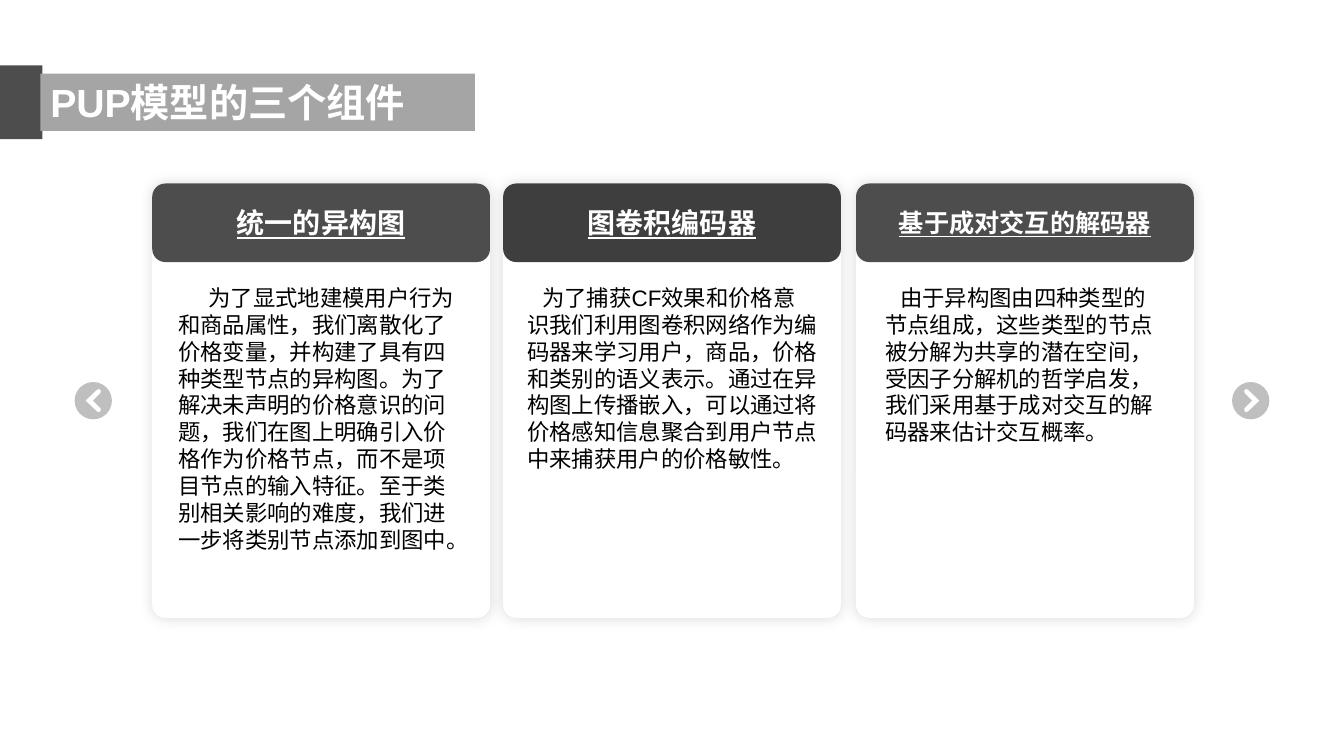
import pptx
import pptx.dml.color
import pptx.enum.shapes
import pptx.enum.text
import pptx.oxml
import pptx.oxml.ns
import pptx.util

Inches = pptx.util.Inches
SHAPES = pptx.enum.shapes.MSO_SHAPE
ALIGN = pptx.enum.text.PP_ALIGN
ANCHOR = pptx.enum.text.MSO_ANCHOR

COLORS = {
    "white": "FFFFFF",
    "black": "000000",
    "dark": "4D4D4D",
    "darker": "3E3E3E",
    "title": "A5A5A5",
    "button": "BFBFBF",
}

CARD_WIDTH, CARD_HEIGHT, HEADER_HEIGHT = 3.35, 4.31, 0.78
CARD_TOP = 1.82
BUTTON_SIZE = 0.37

# Left-pointing chevron in thousandths of an inch; the lower half mirrors the upper
CHEVRON_WIDTH, CHEVRON_HEIGHT = 150, 230
CHEVRON_UPPER = [(0, 115), (110, 10), (130, 0), (145, 10), (150, 25), (145, 40), (70, 115)]

CARDS = [
    {
        "left": 1.51, "heading": "统一的异构图", "size": 20, "fill": "dark",
        "inset": 0.16, "text_width": 2.94, "indent": 0.3,
        "body": "为了显式地建模用户行为和商品属性，我们离散化了价格变量，并构建了具有四种类型节点的异构图。"
                "为了解决未声明的价格意识的问题，我们在图上明确引入价格作为价格节点，而不是项目节点的输入特征。"
                "至于类别相关影响的难度，我们进一步将类别节点添加到图中。",
    },
    {
        "left": 4.99, "heading": "图卷积编码器", "size": 20, "fill": "darker",
        "inset": 0.14, "text_width": 3.08, "indent": 0.15,
        "body": "为了捕获CF效果和价格意识我们利用图卷积网络作为编码器来学习用户，商品，价格和类别的语义表示。"
                "通过在异构图上传播嵌入，可以通过将价格感知信息聚合到用户节点中来捕获用户的价格敏性。",
    },
    {
        "left": 8.49, "heading": "基于成对交互的解码器", "size": 18, "fill": "dark",
        "inset": 0.19, "text_width": 2.96, "indent": 0.15,
        "body": "由于异构图由四种类型的节点组成，这些类型的节点被分解为共享的潜在空间，受因子分解机的哲学启发，"
                "我们采用基于成对交互的解码器来估计交互概率。",
    },
]


def paint(shape, color):
    shape.shadow.inherit = False
    shape.fill.solid()
    shape.fill.fore_color.rgb = pptx.dml.color.RGBColor.from_string(COLORS[color])
    shape.line.fill.background()


def add_block(slide, kind, left, top, width, height, color):
    shape = slide.shapes.add_shape(
        kind, Inches(left), Inches(top), Inches(width), Inches(height))
    paint(shape, color)
    return shape


def write_text(shape, text, size, color="white", bold=False, underline=False,
               align=ALIGN.LEFT, anchor=ANCHOR.TOP, indent=0):
    frame = shape.text_frame
    frame.word_wrap = True
    frame.vertical_anchor = anchor
    paragraph = frame.paragraphs[0]
    paragraph.alignment = align
    if indent:
        paragraph._p.get_or_add_pPr().set("indent", str(Inches(indent)))
    run = paragraph.add_run()
    run.text = text
    run.font.name = "Arial"
    run.font.size = pptx.util.Pt(size)
    run.font.bold = bold
    run.font.underline = underline
    run.font.color.rgb = pptx.dml.color.RGBColor.from_string(COLORS[color])


def add_soft_shadow(shape):
    effects = shape._element.spPr.find(pptx.oxml.ns.qn("a:effectLst"))
    effects.append(pptx.oxml.parse_xml(
        f'<a:outerShdw {pptx.oxml.ns.nsdecls("a")} blurRad="{pptx.util.Pt(10)}" '
        'dist="0" dir="0" algn="ctr" rotWithShape="0">'
        f'<a:srgbClr val="{COLORS["black"]}"><a:alpha val="15000"/></a:srgbClr>'
        '</a:outerShdw>'))


def add_title(slide, left, top):
    add_block(slide, SHAPES.RECTANGLE, left, top, 0.42, 0.73, "dark")
    banner = add_block(slide, SHAPES.RECTANGLE, left + 0.4, top + 0.08, 4.31, 0.57, "title")
    write_text(banner, "PUP模型的三个组件", 28, bold=True)


def add_button(slide, left, top, points_right):
    add_block(slide, SHAPES.FLOWCHART_CONNECTOR, left, top, BUTTON_SIZE, BUTTON_SIZE, "button")
    lower = [(x, CHEVRON_HEIGHT - y) for x, y in reversed(CHEVRON_UPPER[1:-1])]
    outline = CHEVRON_UPPER + lower
    if points_right:
        outline = [(CHEVRON_WIDTH - x, y) for x, y in outline]
    builder = slide.shapes.build_freeform(*outline[0], scale=Inches(1) / 1000)
    builder.add_line_segments(outline[1:], close=True)
    offset = 0.12 if points_right else 0.11
    paint(builder.convert_to_shape(Inches(left + offset), Inches(top + 0.07)), "white")


def add_card(slide, left, top, card):
    # White panel
    panel = add_block(slide, SHAPES.ROUNDED_RECTANGLE, left, top,
                      CARD_WIDTH, CARD_HEIGHT, "white")
    panel.adjustments[0] = 0.039
    add_soft_shadow(panel)

    # Heading
    header = add_block(slide, SHAPES.ROUNDED_RECTANGLE, left, top,
                       CARD_WIDTH, HEADER_HEIGHT, card["fill"])
    write_text(header, card["heading"], card["size"], bold=True, underline=True,
               align=ALIGN.CENTER, anchor=ANCHOR.MIDDLE)

    # Body text
    body = slide.shapes.add_textbox(Inches(left + card["inset"]), Inches(top + 0.95),
                                    Inches(card["text_width"]), Inches(3.06))
    write_text(body, card["body"], 16, color="black", indent=card["indent"])


def main():
    presentation = pptx.Presentation()
    presentation.slide_width = Inches(13.33)
    presentation.slide_height = Inches(7.5)
    slide = presentation.slides.add_slide(presentation.slide_layouts[6])

    add_title(slide, 0, 0.65)
    add_button(slide, 0.74, 3.79, points_right=False)
    add_button(slide, 12.22, 3.79, points_right=True)
    for card in CARDS:
        add_card(slide, card["left"], CARD_TOP, card)

    presentation.save("out.pptx")


if __name__ == "__main__":
    main()
